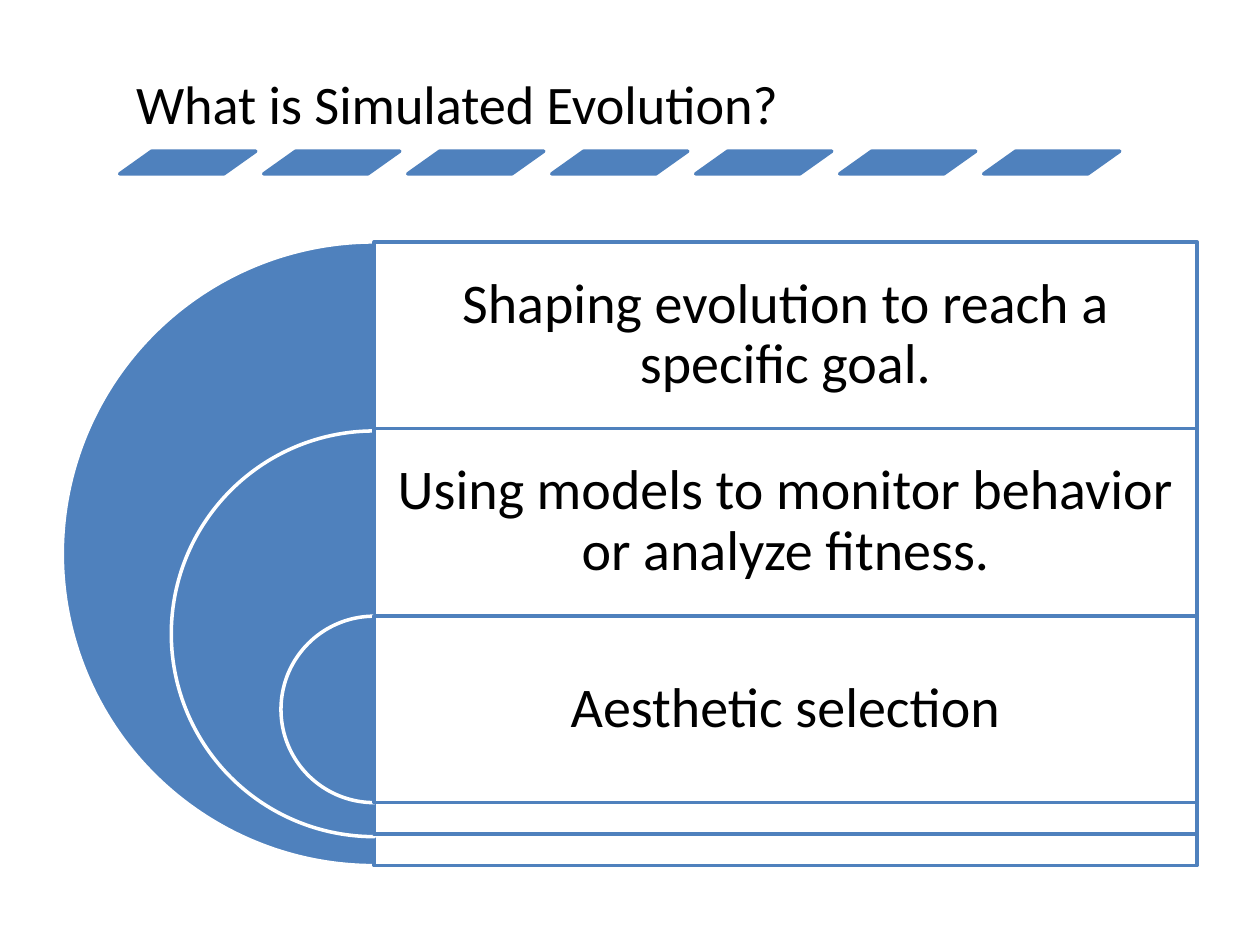
from dataclasses import dataclass

from lxml.etree import SubElement
from pptx import Presentation
from pptx.dml.color import RGBColor
from pptx.enum.shapes import MSO_SHAPE
from pptx.enum.text import MSO_ANCHOR, PP_ALIGN
from pptx.oxml.ns import qn
from pptx.util import Inches, Pt


@dataclass(frozen=True)
class Theme:
    blue: RGBColor = RGBColor(0x4F, 0x81, 0xBD)
    white: RGBColor = RGBColor(0xFF, 0xFF, 0xFF)
    black: RGBColor = RGBColor(0, 0, 0)
    font: str = "Calibri"
    title_size: int = 31
    body_size: int = 32
    line_width: int = 2


theme = Theme()
deck = Presentation()
deck.slide_width, deck.slide_height = Inches(10), Inches(7.5)
page = deck.slides.add_slide(deck.slide_layouts[6])


def add_shape(kind, bounds, fill, line, adjustments=()):
    shape = page.shapes.add_shape(kind, *map(Inches, bounds))
    shape.shadow.inherit = False
    shape.fill.solid()
    shape.fill.fore_color.rgb = fill
    shape.line.color.rgb = line
    shape.line.width = Pt(theme.line_width)
    for index, value in enumerate(adjustments):
        shape.adjustments[index] = value
    return shape


def add_text(text, bounds, size, anchor, alignment):
    box = page.shapes.add_textbox(*map(Inches, bounds))
    frame_format = {"word_wrap": True, "vertical_anchor": anchor}
    for side in ("left", "top", "right", "bottom"):
        frame_format[f"margin_{side}"] = Inches(0.13)
    para = box.text_frame.paragraphs[0]
    span = para.add_run()
    span.text = text
    span.font.color.rgb = theme.black
    formats = (
        (box.text_frame, frame_format),
        (para, {"alignment": alignment, "line_spacing": 0.9}),
        (span.font, {"name": theme.font, "size": Pt(size)}),
    )
    for target, values in formats:
        for name, value in values.items():
            setattr(target, name, value)


# Title with its row of slanted bars
add_text("What is Simulated Evolution?", (0.95, 0.47, 8.1, 0.74),
         theme.title_size, MSO_ANCHOR.BOTTOM, PP_ALIGN.LEFT)
bar_pitch = 8.0 / 7
for column in range(7):
    add_shape(MSO_SHAPE.PARALLELOGRAM, (0.95 + column * bar_pitch, 1.2, 1.08, 0.18),
              theme.blue, theme.blue, [1.408])

# Nested half circles, each with a panel starting at the shared centre line
center_x, panel_width, row_height = 2.97, 6.53, 1.48
levels = [
    ("Shaping evolution to reach a specific goal.", 1.92, 1.92, 4.95),
    ("Using models to monitor behavior or analyze fitness.", 3.42, 3.4, 3.22),
    ("Aesthetic selection", 4.89, 4.89, row_height),
]
for text, circle_top, panel_top, size in levels:
    add_shape(MSO_SHAPE.PIE, (center_x - size / 2, circle_top, size, size),
              theme.blue, theme.white, [54, 162])
    panel = add_shape(MSO_SHAPE.RECTANGLE, (center_x, panel_top, panel_width, size),
                      theme.white, theme.blue)
    fill_color = panel.element.spPr.find(qn("a:solidFill"))[0]
    SubElement(fill_color, qn("a:alpha"), val="90000")
    add_text(text, (center_x, panel_top, panel_width, row_height),
             theme.body_size, MSO_ANCHOR.MIDDLE, PP_ALIGN.CENTER)

deck.save("out.pptx")
